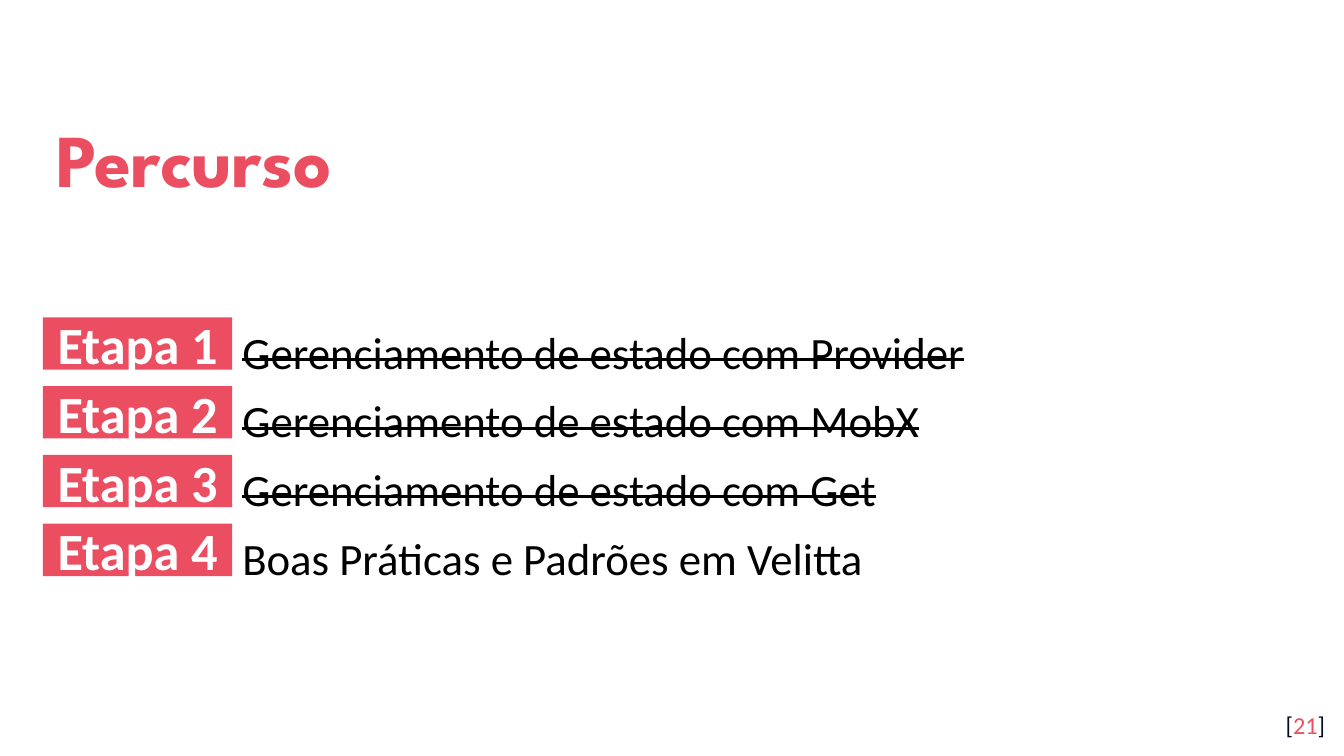
from dataclasses import dataclass

from pptx import Presentation
from pptx.dml.color import RGBColor
from pptx.enum.shapes import MSO_SHAPE
from pptx.enum.text import MSO_ANCHOR, PP_ALIGN
from pptx.util import Cm, Pt

RECT = MSO_SHAPE.RECTANGLE
TOP, MIDDLE = MSO_ANCHOR.TOP, MSO_ANCHOR.MIDDLE
LEFT, CENTER, RIGHT = PP_ALIGN.LEFT, PP_ALIGN.CENTER, PP_ALIGN.RIGHT

CORAL = RGBColor(0xEA, 0x4E, 0x60)
NAVY = RGBColor(0x04, 0x0A, 0x24)
WHITE = RGBColor(0xFF, 0xFF, 0xFF)
BLACK = RGBColor(0x00, 0x00, 0x00)

MARGIN = 0.81
STEP_TOP, STEP_PITCH = 6.0, 1.3


@dataclass
class Step:
    topic: str
    done: bool = True


STEPS = [
    Step("Gerenciamento de estado com Provider"),
    Step("Gerenciamento de estado com MobX"),
    Step("Gerenciamento de estado com Get"),
    Step("Boas Práticas e Padrões em Velitta", done=False),
]


def setup_frame(tf, anchor, align, wrap: bool = True, inset_y: float = 0.25):
    """Format a text frame and return its first paragraph."""
    frame_format = {
        "word_wrap": wrap, "vertical_anchor": anchor,
        "margin_left": Cm(0.25), "margin_right": Cm(0.25),
        "margin_top": Cm(inset_y), "margin_bottom": Cm(inset_y),
    }
    for name, value in frame_format.items():
        setattr(tf, name, value)
    p = tf.paragraphs[0]
    p.alignment = align
    return p


def add_run(p, text: str, size: float, color: RGBColor,
            bold: bool = False, font: str = "Calibri"):
    r = p.add_run()
    r.text = text
    for name, value in {"name": font, "size": Pt(size), "bold": bold}.items():
        setattr(r.font, name, value)
    r.font.color.rgb = color
    return r


def add_title(s, text: str) -> None:
    title = s.shapes.title
    box = {"left": Cm(MARGIN), "top": Cm(1.68), "width": Cm(20.57), "height": Cm(2.34)}
    for name, value in box.items():
        setattr(title, name, value)
    p = setup_frame(title.text_frame, MIDDLE, LEFT)
    p.line_spacing = 1.15
    add_run(p, text, 40, CORAL, bold=True, font="League Spartan")


def add_step(s, number: int, step: Step) -> None:
    top = Cm(STEP_TOP + (number - 1) * STEP_PITCH)

    # Coral label
    label = s.shapes.add_shape(RECT, Cm(MARGIN), top, Cm(3.58), Cm(0.99))
    label.shadow.inherit = False
    label.fill.solid()
    label.fill.fore_color.rgb = CORAL
    label.line.fill.background()
    p = setup_frame(label.text_frame, MIDDLE, CENTER, wrap=False)
    add_run(p, f"Etapa {number}", 28, WHITE, bold=True)

    # Topic, struck through once done
    topic = s.shapes.add_textbox(Cm(4.33), top, Cm(20.57), Cm(1.04))
    p = setup_frame(topic.text_frame, TOP, LEFT, inset_y=0.13)
    r = add_run(p, step.topic, 24, BLACK)
    if step.done:
        r.font._element.set("strike", "sngStrike")


def add_page_number(s, number: int) -> None:
    tb = s.shapes.add_textbox(Cm(23.77), Cm(13.18), Cm(1.52), Cm(1.09))
    p = setup_frame(tb.text_frame, TOP, RIGHT)
    for text, color in (("[", NAVY), (str(number), CORAL), ("]", NAVY)):
        add_run(p, text, 13, color)


def main() -> None:
    prs = Presentation()
    prs.slide_width, prs.slide_height = Cm(25.4), Cm(14.29)
    s = prs.slides.add_slide(prs.slide_layouts[5])

    add_title(s, "Percurso")
    add_page_number(s, 21)
    for number, step in enumerate(STEPS, start=1):
        add_step(s, number, step)

    prs.save("out.pptx")


if __name__ == "__main__":
    main()
